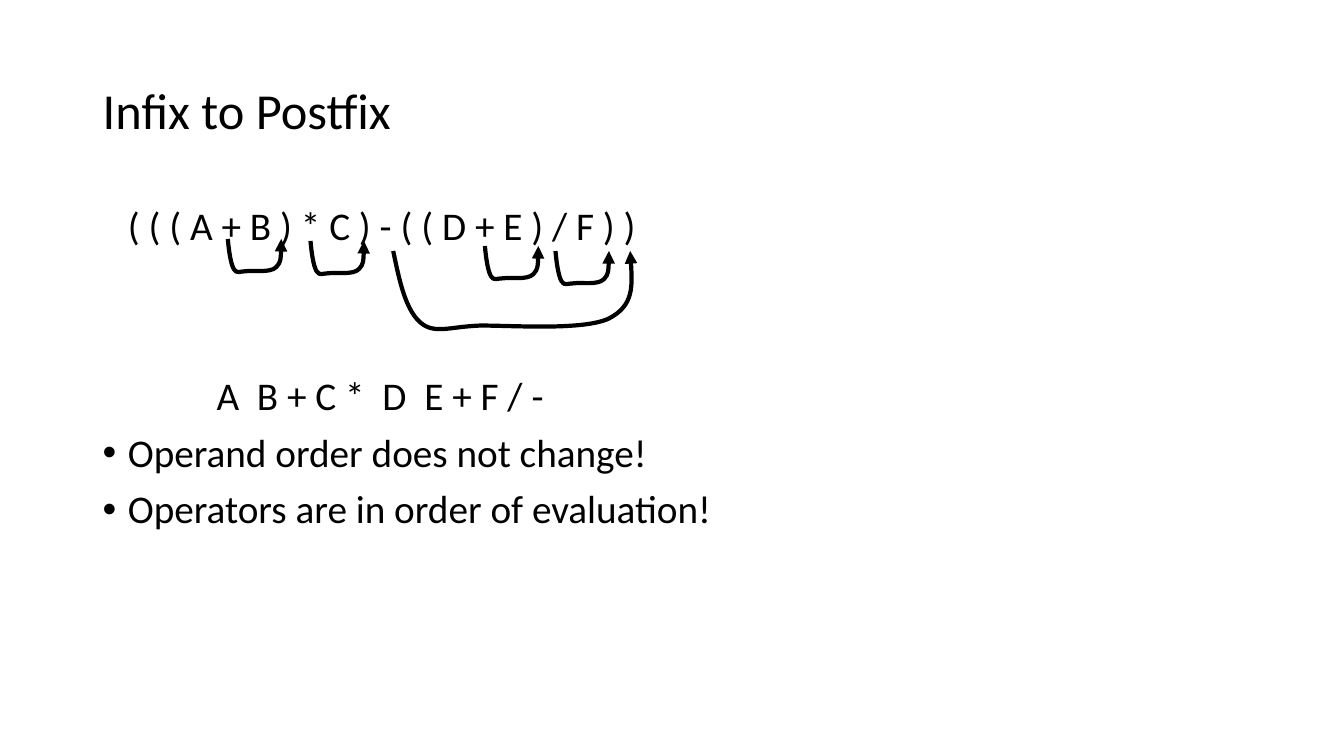
from lxml.etree import SubElement
from pptx import Presentation
from pptx.dml.color import RGBColor
from pptx.enum.text import MSO_ANCHOR
from pptx.oxml.ns import qn
from pptx.util import Inches, Pt

COLORS = {"ink": "000000"}
FONT = "Calibri"
INK = RGBColor.from_string(COLORS["ink"])

# Offsets from the operator: a start point, then three points per Bézier curve
HOOK = [(0, 0),
        (0.01, 0.12), (0.03, 0.25), (0.06, 0.3),
        (0.09, 0.35), (0.12, 0.32), (0.19, 0.32),
        (0.26, 0.31), (0.42, 0.34), (0.48, 0.28),
        (0.53, 0.23), (0.53, 0.12), (0.53, 0)]
LONG_HOOK = [(0, 0),
             (0.06, 0.29), (0.12, 0.58), (0.27, 0.71),
             (0.41, 0.83), (0.56, 0.75), (0.87, 0.74),
             (1.19, 0.74), (1.89, 0.79), (2.14, 0.67),
             (2.39, 0.54), (2.37, 0.27), (2.35, 0)]

# Each arrow leads from an operator to its closing parenthesis
ARROWS = [(2.26, 2.37, HOOK), (3.08, 2.39, HOOK), (5.51, 2.49, HOOK),
          (4.81, 2.44, HOOK), (3.9, 2.49, LONG_HOOK)]

# Text, left margin (inches), space before (points), bulleted
BODY_LINES = [
    ("( ( ( A + B ) * C ) - ( ( D + E ) / F ) )", 0.25, 10, False),
    ("A  B + C *  D  E + F / -", 1.13, 91.5, False),
    ("Operand order does not change!", 0.25, 10, True),
    ("Operators are in order of evaluation!", 0.25, 10, True),
]


def add_text_frame(page, left, top, width, height, anchor):
    box = page.shapes.add_textbox(Inches(left), Inches(top), Inches(width), Inches(height))
    frame = box.text_frame
    frame.word_wrap = True
    frame.vertical_anchor = anchor
    return frame


def style_paragraph(para, text, size):
    para.text = text
    para.line_spacing = 0.9
    para.font.name = FONT
    para.font.size = Pt(size)
    para.font.color.rgb = INK


def add_title(page, left, top, width, height):
    frame = add_text_frame(page, left, top, width, height, MSO_ANCHOR.MIDDLE)
    style_paragraph(frame.paragraphs[0], "Infix to Postfix", 36)


def add_body(page, left, top, width, height):
    frame = add_text_frame(page, left, top, width, height, MSO_ANCHOR.TOP)
    for index, (text, margin, space, bulleted) in enumerate(BODY_LINES):
        para = frame.add_paragraph() if index else frame.paragraphs[0]
        style_paragraph(para, text, 28)
        para.space_before = Pt(space)
        properties = para._p.get_or_add_pPr()
        properties.set("marL", str(Inches(margin)))
        if bulleted:
            properties.set("indent", str(-Inches(margin)))
            bullet_font = SubElement(properties, qn("a:buFont"))
            bullet_font.set("typeface", "Arial")
            SubElement(properties, qn("a:buChar")).set("char", "•")


def add_curved_arrow(page, left, top, offsets):
    points = [(Inches(left + x), Inches(top + y)) for x, y in offsets]
    builder = page.shapes.build_freeform(*points[0])
    builder.add_line_segments(points[1:], close=False)
    arrow = builder.convert_to_shape()
    arrow.shadow.inherit = False
    arrow.fill.background()
    arrow.line.color.rgb = INK
    arrow.line.width = Pt(3)

    # Turn every three line points into one cubic curve
    outline = next(arrow._element.iter(qn("a:path")))
    segments = outline.findall(qn("a:lnTo"))
    for first in range(0, len(segments), 3):
        curve = SubElement(outline, qn("a:cubicBezTo"))
        for segment in segments[first:first + 3]:
            curve.append(segment[0])
            outline.remove(segment)

    SubElement(arrow.line._get_or_add_ln(), qn("a:tailEnd")).set("type", "triangle")


def main():
    deck = Presentation()
    deck.slide_width, deck.slide_height = Inches(13.33), Inches(7.5)
    page = deck.slides.add_slide(deck.slide_layouts[6])
    add_title(page, 0.92, 0.4, 11.5, 1.45)
    add_body(page, 0.92, 2, 11.5, 4.76)
    for left, top, offsets in ARROWS:
        add_curved_arrow(page, left, top, offsets)
    deck.save("out.pptx")


if __name__ == "__main__":
    main()
